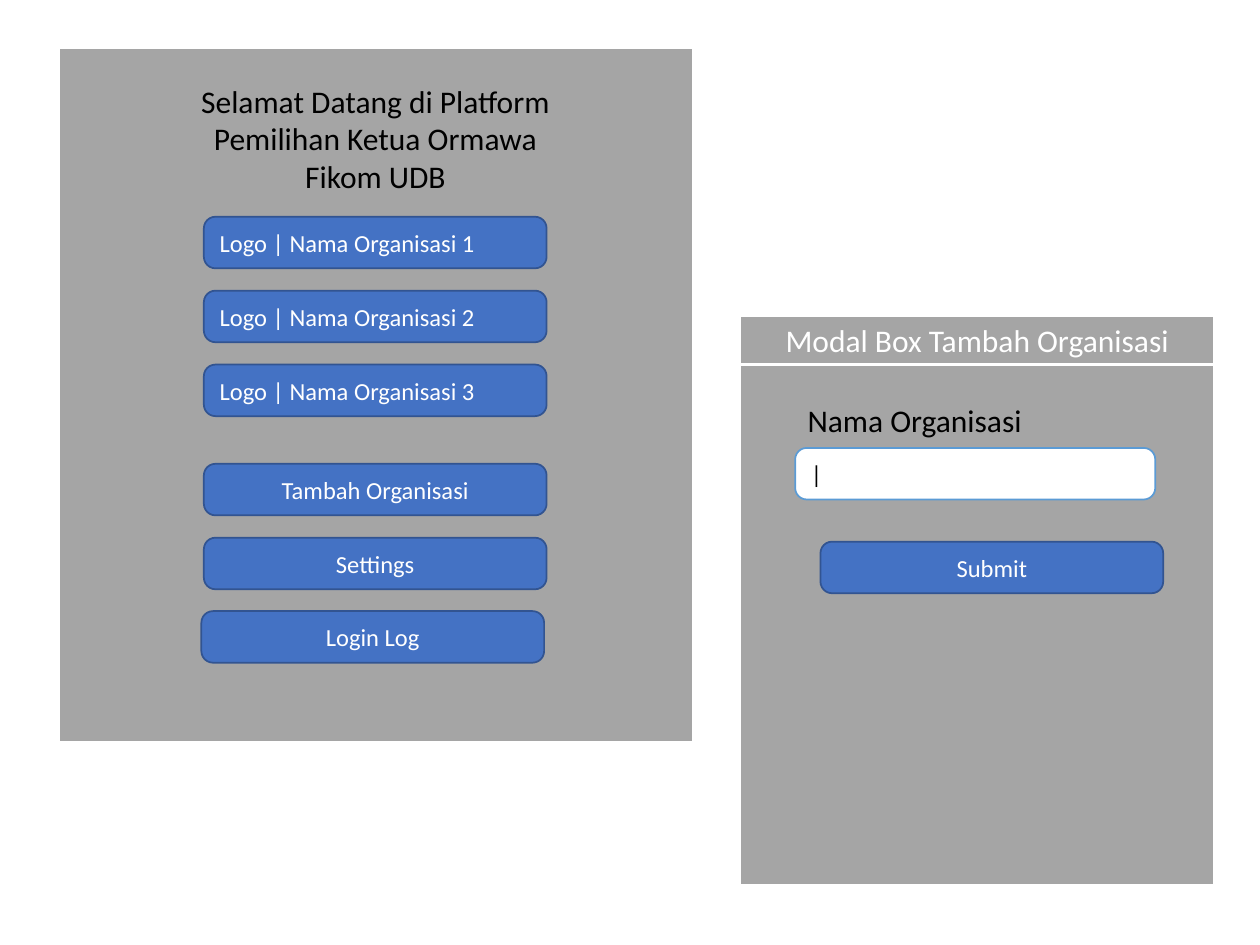
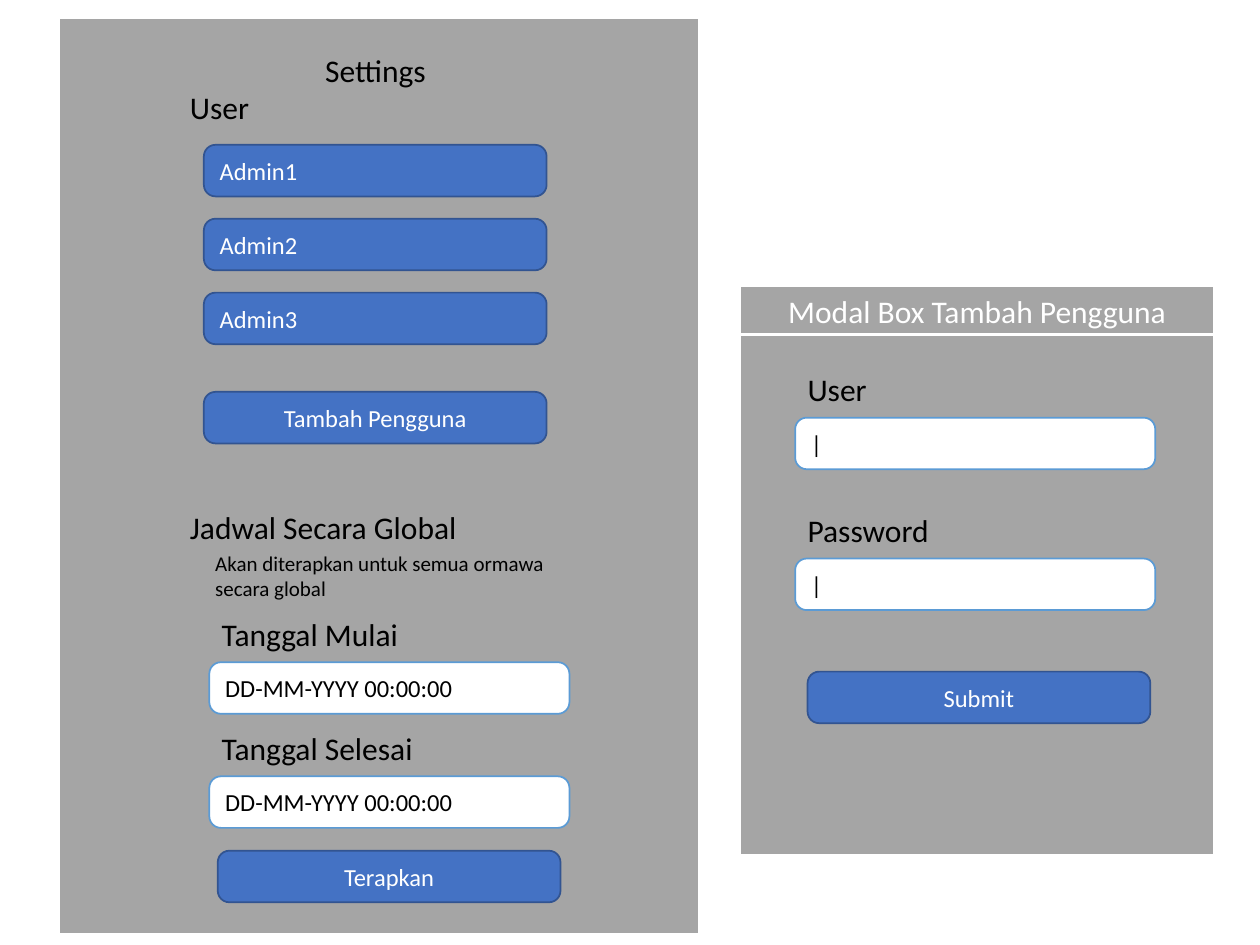
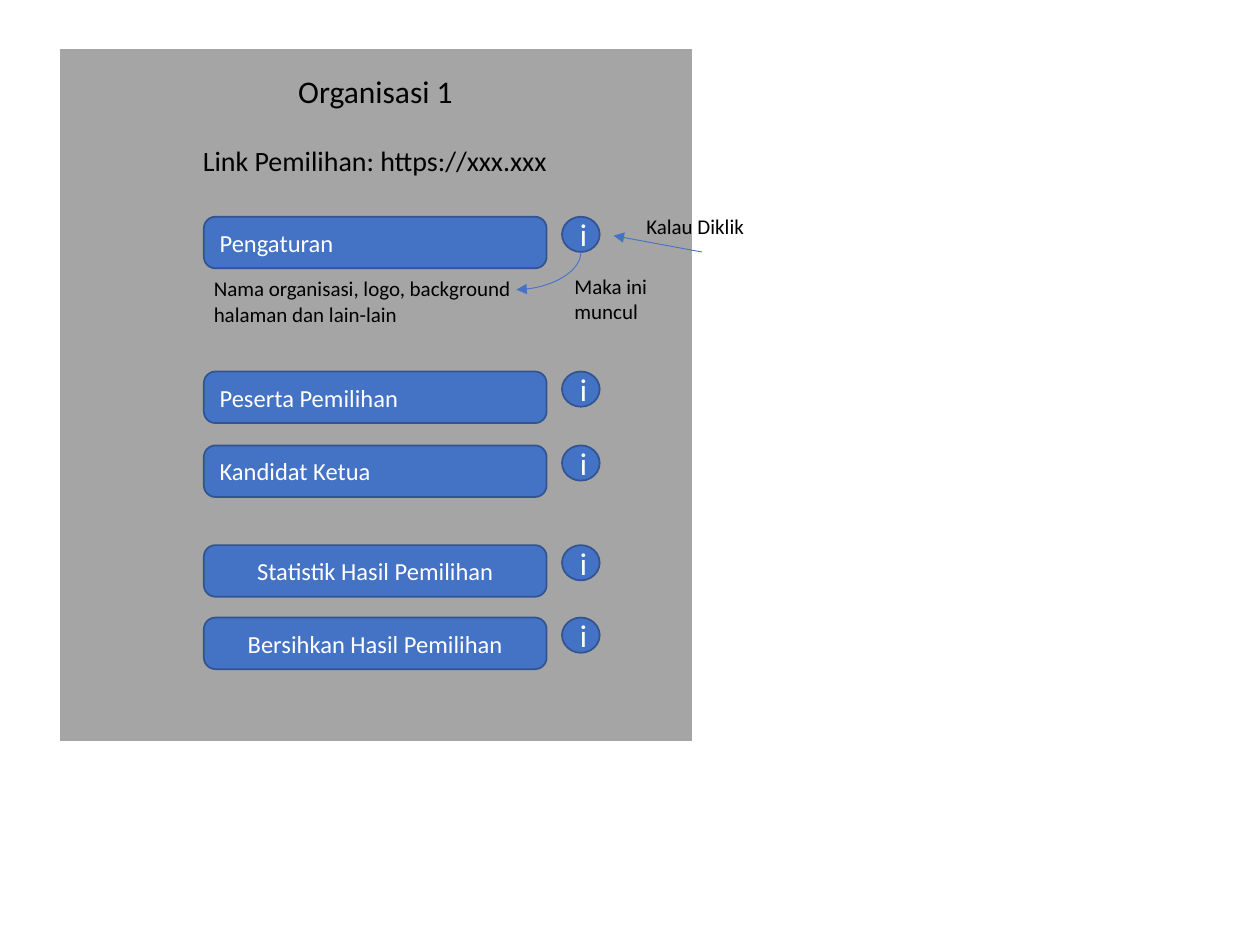
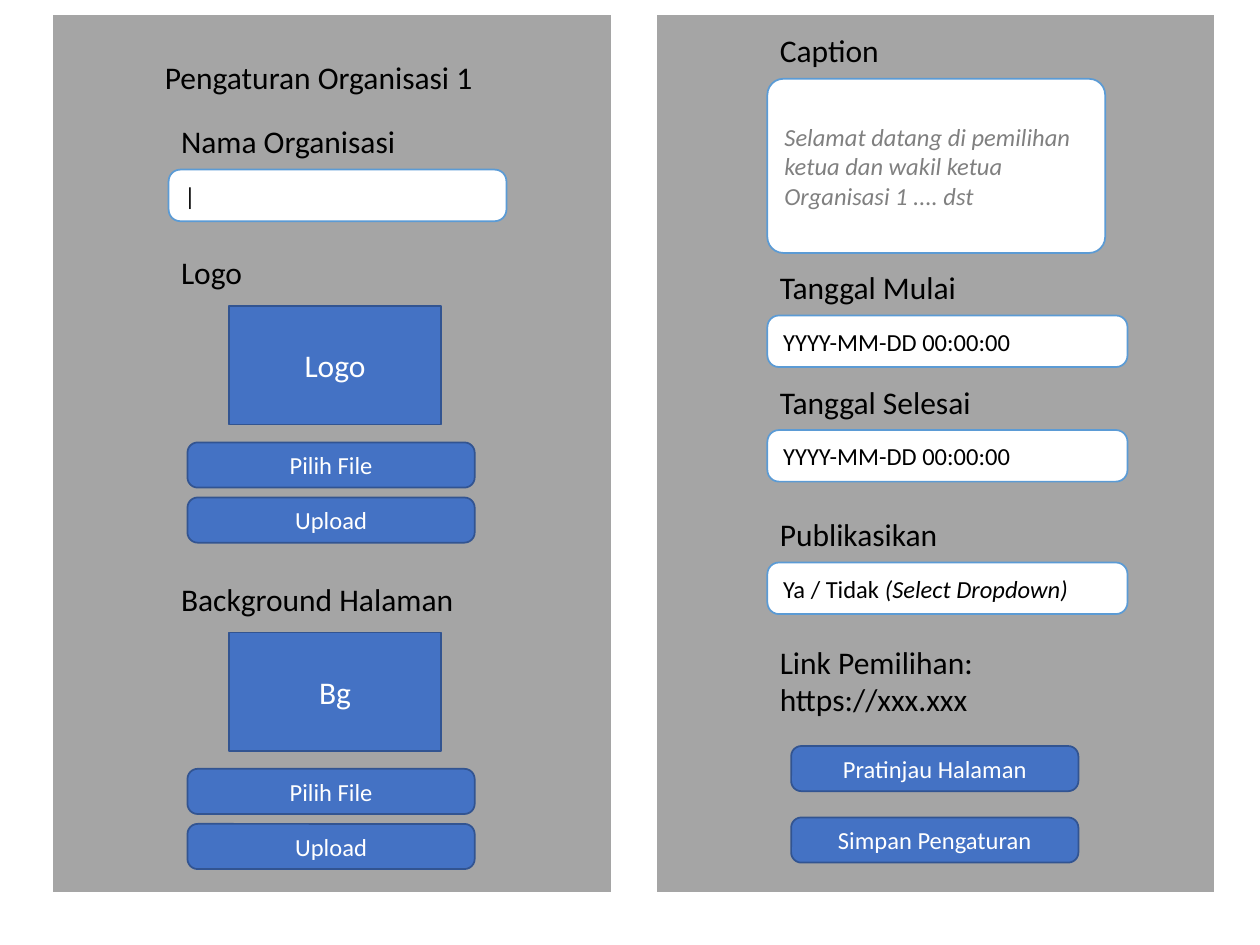
from dataclasses import dataclass, replace

from lxml import etree
from pptx import Presentation
from pptx.dml.color import RGBColor
from pptx.enum.shapes import MSO_CONNECTOR as Link, MSO_SHAPE as Preset
from pptx.enum.text import MSO_ANCHOR as Anchor, MSO_AUTO_SIZE as AutoSize, PP_ALIGN as Align
from pptx.oxml.ns import qn
from pptx.shapes.connector import Connector
from pptx.slide import Slide
from pptx.util import Cm, Pt

# Colours and font
WHITE = RGBColor(0xFF, 0xFF, 0xFF)
BLACK = RGBColor(0x00, 0x00, 0x00)
GRAY = RGBColor(0xA5, 0xA5, 0xA5)
HINT = RGBColor(0x80, 0x80, 0x80)
BLUE = RGBColor(0x44, 0x72, 0xC4)
NAVY = RGBColor(0x32, 0x54, 0x91)
SKY = RGBColor(0x5B, 0x9B, 0xD5)
FONT = "Calibri"

# Shared measures in centimetres
COLUMN = 4.11
ROW_HEIGHT, ROW_PITCH = 1.04, 1.49
BUTTON_WIDTH, FIELD_WIDTH, LABEL_WIDTH = 6.91, 7.26, 7.98
SMALL_WIDTH, SMALL_HEIGHT = 5.79, 0.91
LABEL_HEIGHT, FIELD_OFFSET = 1.02, 1.08
TITLE_LEFT = 3.58
MODAL_LEFT, MODAL_WIDTH, MODAL_BAR, MODAL_HEIGHT = 14.91, 9.58, 0.98, 10.49
MODAL_FIELD = 16.03


@dataclass(frozen=True)
class Area:
    left: float
    top: float
    width: float
    height: float

    def lengths(self) -> tuple[Cm, Cm, Cm, Cm]:
        return Cm(self.left), Cm(self.top), Cm(self.width), Cm(self.height)


@dataclass(frozen=True)
class Span:
    text: str
    italic: bool = False


@dataclass(frozen=True)
class Look:
    preset: Preset
    fill: RGBColor
    line: RGBColor
    ink: RGBColor
    weight: float = 1
    size: int = 14
    align: Align = Align.CENTER
    corner: float = 0.225


PANEL = Look(Preset.RECTANGLE, GRAY, WHITE, WHITE, weight=1.5, size=18)
BUTTON = Look(Preset.ROUNDED_RECTANGLE, BLUE, NAVY, WHITE)
ITEM = replace(BUTTON, align=Align.LEFT)
FIELD = Look(Preset.ROUNDED_RECTANGLE, WHITE, SKY, BLACK, align=Align.LEFT)
CAPTION = replace(FIELD, ink=HINT, corner=0.092)
PREVIEW = replace(BUTTON, preset=Preset.RECTANGLE, size=18)
INFO = replace(BUTTON, preset=Preset.OVAL, size=18)


# Basic parts
def write(frame, spans: tuple[Span, ...], size: int, ink: RGBColor, align: Align) -> None:
    frame.word_wrap = True
    para = frame.paragraphs[0]
    para.alignment = align
    para.font.name, para.font.size = FONT, Pt(size)
    para.font.color.rgb = ink
    for span in spans:
        run = para.add_run()
        run.text = span.text
        if span.italic:
            run.font.italic = True


def add_box(page: Slide, area: Area, look: Look, *spans: Span) -> None:
    box = page.shapes.add_shape(look.preset, *area.lengths())
    box.shadow.inherit = False
    box.fill.solid()
    box.fill.fore_color.rgb = look.fill
    box.line.color.rgb = look.line
    box.line.width = Pt(look.weight)
    if look.preset == Preset.ROUNDED_RECTANGLE:
        box.adjustments[0] = look.corner
    if spans:
        box.text_frame.vertical_anchor = Anchor.MIDDLE
        write(box.text_frame, spans, look.size, look.ink, look.align)


def add_text(page: Slide, area: Area, text: str, size: int = 18,
             align: Align = Align.LEFT) -> None:
    frame = page.shapes.add_textbox(*area.lengths()).text_frame
    write(frame, (Span(text),), size, BLACK, align)
    frame.auto_size = AutoSize.SHAPE_TO_FIT_TEXT


def finish_arrow(arrow: Connector) -> None:
    arrow.line.color.rgb = BLUE
    arrow.line.width = Pt(0.5)
    properties = arrow._element.spPr
    etree.SubElement(properties.find(qn("a:ln")), qn("a:tailEnd"), type="triangle")
    etree.SubElement(properties, qn("a:effectLst"))


def add_arrow(page: Slide, x1: float, y1: float, x2: float, y2: float) -> None:
    finish_arrow(page.shapes.add_connector(Link.STRAIGHT, Cm(x1), Cm(y1), Cm(x2), Cm(y2)))


def add_bent_arrow(page: Slide, x1: float, y1: float, x2: float, y2: float) -> None:
    """Curve that leaves downwards and arrives leftwards: a quarter turn of the preset."""
    middle_x, middle_y = (x1 + x2) / 2, (y1 + y2) / 2
    half_x, half_y = (y2 - y1) / 2, (x1 - x2) / 2
    arrow = page.shapes.add_connector(
        Link.CURVE, Cm(middle_x - half_x), Cm(middle_y - half_y),
        Cm(middle_x + half_x), Cm(middle_y + half_y))
    properties = arrow._element.spPr
    properties.find(qn("a:xfrm")).set("rot", "5400000")
    properties.find(qn("a:prstGeom")).set("prst", "curvedConnector2")
    finish_arrow(arrow)


# Interface elements
def add_title(page: Slide, top: float, text: str, height: float = LABEL_HEIGHT) -> None:
    add_text(page, Area(TITLE_LEFT, top, LABEL_WIDTH, height), text, align=Align.CENTER)


def add_label(page: Slide, left: float, top: float, text: str,
              width: float = LABEL_WIDTH, height: float = LABEL_HEIGHT) -> None:
    add_text(page, Area(left, top, width, height), text)


def add_button(page: Slide, top: float, text: str, left: float = COLUMN,
               look: Look = BUTTON) -> None:
    add_box(page, Area(left, top, BUTTON_WIDTH, ROW_HEIGHT), look, Span(text))


def add_small_button(page: Slide, left: float, top: float, text: str) -> None:
    add_box(page, Area(left, top, SMALL_WIDTH, SMALL_HEIGHT), BUTTON, Span(text))


def add_list(page: Slide, top: float, names: list[str], look: Look = ITEM) -> None:
    for index, name in enumerate(names):
        add_button(page, top + index * ROW_PITCH, name, look=look)


def add_field(page: Slide, left: float, top: float, label: str, *spans: Span,
              width: float = FIELD_WIDTH, height: float = ROW_HEIGHT,
              label_width: float = LABEL_WIDTH, look: Look = FIELD) -> None:
    add_box(page, Area(left, top + FIELD_OFFSET, width, height), look, *spans)
    add_label(page, left, top, label, label_width)


def add_modal(page: Slide, top: float, title: str) -> None:
    add_box(page, Area(MODAL_LEFT, top + MODAL_BAR, MODAL_WIDTH, MODAL_HEIGHT), PANEL)
    add_box(page, Area(MODAL_LEFT, top, MODAL_WIDTH, MODAL_BAR), PANEL, Span(title))


def add_upload(page: Slide, top: float, label: str, preview: str) -> None:
    add_label(page, 3.4, top, label, 7.47)
    add_box(page, Area(4.62, top + 1.19, 4.27, 2.39), PREVIEW, Span(preview))
    add_small_button(page, 3.78, top + 3.94, "Pilih File")
    add_small_button(page, 3.78, top + 5.05, "Upload")


deck = Presentation()
deck.slide_width, deck.slide_height = Cm(25.4), Cm(19.05)
home, settings, organisation, setup = (
    deck.slides.add_slide(deck.slide_layouts[6]) for _ in range(4))
MAIN_PANEL = Area(1.19, 0.97, 12.78, 14)
CURSOR = Span("|")

# Slide 1: home and the dialog for a new organisation
add_box(home, MAIN_PANEL, PANEL)
add_title(home, 1.52, "Selamat Datang di Platform Pemilihan Ketua Ormawa Fikom UDB", 2.57)
add_list(home, 4.37, [f"Logo | Nama Organisasi {number}" for number in (1, 2, 3)])
add_list(home, 9.35, ["Tambah Organisasi", "Settings"], BUTTON)
add_button(home, 12.32, "Login Log", left=4.06)
add_modal(home, 6.37, "Modal Box Tambah Organisasi")
add_field(home, MODAL_FIELD, 7.95, "Nama Organisasi", CURSOR)
add_button(home, 10.92, "Submit", left=16.54)

# Slide 2: settings and the dialog for a new user
add_box(settings, Area(1.19, 0.36, 12.9, 18.47), PANEL)
add_title(settings, 0.91, "Settings")
add_label(settings, TITLE_LEFT, 1.65, "User")
add_list(settings, 2.92, [f"Admin{number}" for number in (1, 2, 3)])
add_button(settings, 7.9, "Tambah Pengguna")
add_label(settings, TITLE_LEFT, 10.11, "Jadwal Secara Global")
add_text(settings, Area(4.09, 10.97, LABEL_WIDTH, 1.27),
         "Akan diterapkan untuk semua ormawa secara global", 12)
for top, label in ((12.27, "Tanggal Mulai"), (14.57, "Tanggal Selesai")):
    add_field(settings, 4.22, top, label, Span("DD-MM-YYYY 00:00:00"))
add_button(settings, 17.15, "Terapkan", left=4.39)
add_modal(settings, 5.77, "Modal Box Tambah Pengguna")
for top, label in ((7.34, "User"), (10.18, "Password")):
    add_field(settings, MODAL_FIELD, top, label, CURSOR)
add_button(settings, 13.54, "Submit", left=16.28)

# Slide 3: organisation menu with info badges
add_box(organisation, MAIN_PANEL, PANEL)
add_title(organisation, 1.32, "Organisasi 1")
add_text(organisation, Area(3.84, 2.77, 10.21, 0.94), "Link Pemilihan: https://xxx.xxx", 16)
MENU = (
    (4.37, "Pengaturan", ITEM),
    (7.49, "Peserta Pemilihan", ITEM),
    (8.98, "Kandidat Ketua", ITEM),
    (10.99, "Statistik Hasil Pemilihan", BUTTON),
    (12.45, "Bersihkan Hasil Pemilihan", BUTTON),
)
for top, name, look in MENU:
    add_button(organisation, top, name, look=look)
    add_box(organisation, Area(11.33, top, 0.76, 0.71), INFO, Span("i"))
NOTES = (
    (Area(4.06, 5.44, 6.99, 1.27), "Nama organisasi, logo, background halaman dan lain-lain"),
    (Area(12.78, 4.19, 3.23, 0.76), "Kalau Diklik"),
    (Area(11.33, 5.38, 2.01, 1.27), "Maka ini muncul"),
)
for area, note in NOTES:
    add_text(organisation, area, note, 12)
add_arrow(organisation, 14.15, 5.08, 12.37, 4.75)
add_bent_arrow(organisation, 11.71, 5.08, 10.41, 5.84)

# Slide 4: organisation settings in two panels
for left in (1.04, 13.21):
    add_box(setup, Area(left, 0.28, 11.3, 17.73), PANEL)
add_text(setup, Area(2.69, 1.04, 7.47, LABEL_HEIGHT), "Pengaturan Organisasi 1",
         align=Align.CENTER)
add_field(setup, 3.4, 2.34, "Nama Organisasi", CURSOR, width=6.81, label_width=7.47)
add_upload(setup, 4.98, "Logo", "Logo")
add_upload(setup, 11.56, "Background Halaman", "Bg")

RIGHT = 15.47
add_field(setup, RIGHT, 0.51, "Caption",
          Span("Selamat datang di pemilihan ketua dan wakil ketua Organisasi 1 .... dst", True),
          width=6.81, height=3.51, label_width=7.47, look=CAPTION)
for top, label in ((5.28, "Tanggal Mulai"), (7.59, "Tanggal Selesai")):
    add_field(setup, RIGHT, top, label, Span("YYYY-MM-DD 00:00:00"))
add_field(setup, RIGHT, 10.26, "Publikasikan",
          Span("Ya / Tidak "), Span("(Select Dropdown)", True))
add_label(setup, RIGHT, 12.83, "Link Pemilihan: https://xxx.xxx", height=1.8)
add_small_button(setup, 15.95, 15.04, "Pratinjau Halaman")
add_small_button(setup, 15.95, 16.48, "Simpan Pengaturan")

deck.save("out.pptx")
